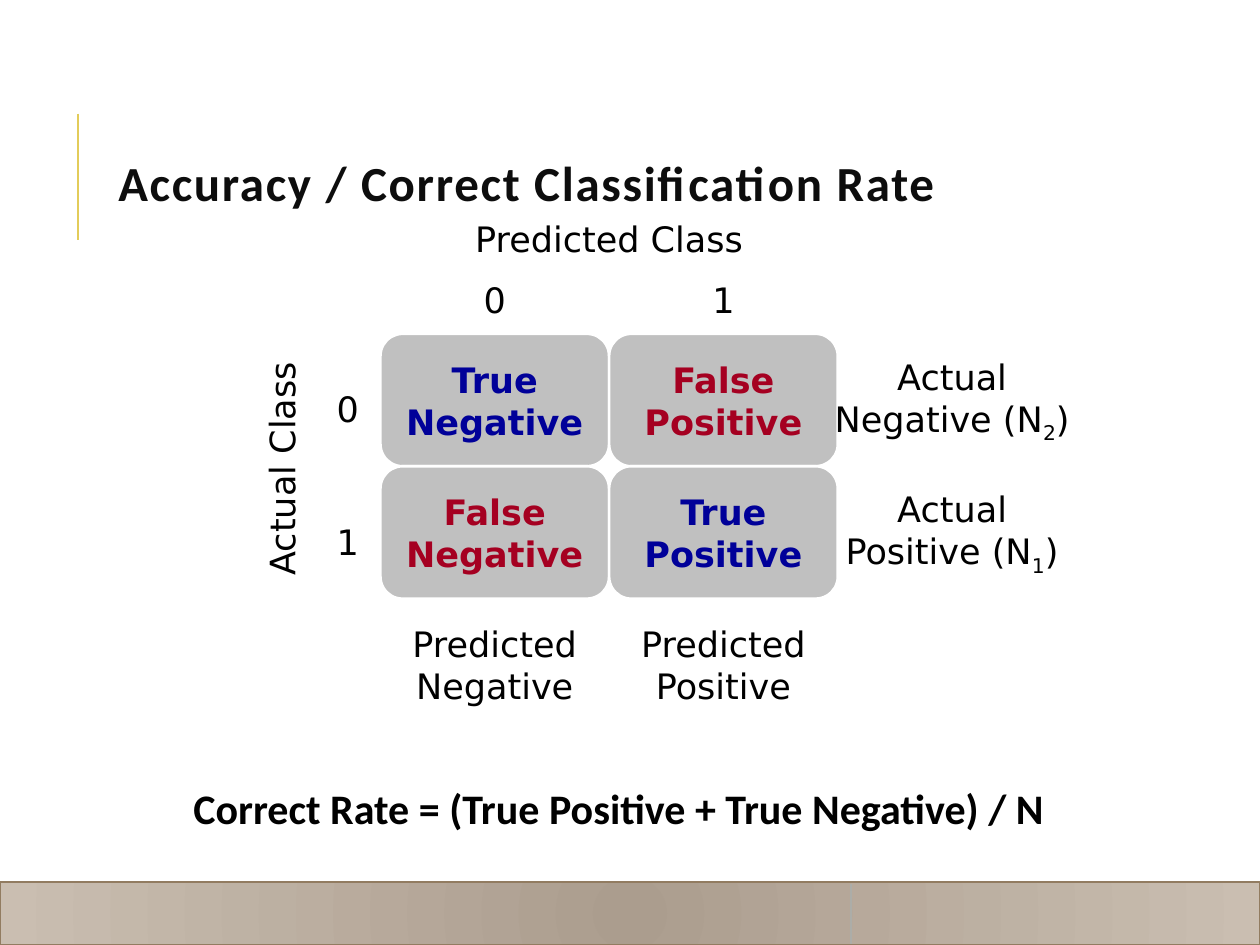
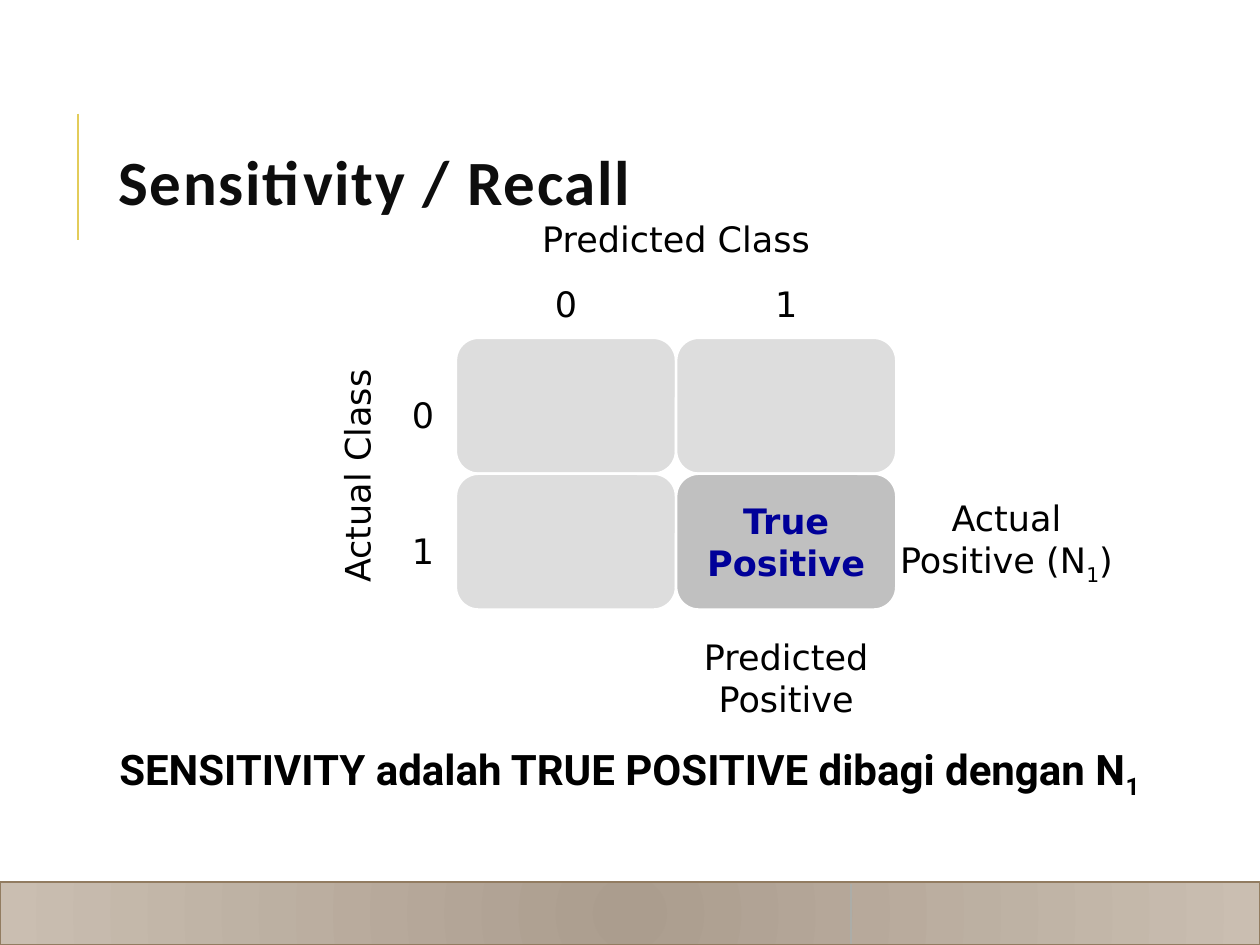
from lxml import etree
from pptx import Presentation
from pptx.dml.color import RGBColor
from pptx.enum.dml import MSO_FILL
from pptx.enum.shapes import MSO_CONNECTOR, MSO_SHAPE
from pptx.enum.text import MSO_ANCHOR, MSO_AUTO_SIZE, PP_ALIGN
from pptx.oxml import parse_xml
from pptx.oxml.ns import nsdecls, qn
from pptx.util import Cm, Pt

BLACK = RGBColor(0x00, 0x00, 0x00)
WHITE = RGBColor(0xFF, 0xFF, 0xFF)
TITLE_INK = RGBColor(0x0D, 0x0D, 0x0D)
GOLD = RGBColor(0xE3, 0xCC, 0x5A)
BAND_CENTRE = RGBColor(0xAB, 0x9D, 0x8E)
BAND_EDGE = RGBColor(0xCA, 0xBE, 0xB1)
BAND_LINE = RGBColor(0x92, 0x7C, 0x61)
BAND_TICK = RGBColor(0xAC, 0xAD, 0xA8)
CELL_GREY = RGBColor(0xC0, 0xC0, 0xC0)
CELL_PALE = RGBColor(0xDD, 0xDD, 0xDD)
CORRECT_BLUE = RGBColor(0x00, 0x00, 0x99)
ERROR_RED = RGBColor(0xA5, 0x00, 0x21)

TITLE_FONT = "Calibri"
LABEL_FONT = "DejaVu Sans"
SLIDE_WIDTH, SLIDE_HEIGHT = 25.4, 19.05
BAND_HEIGHT = 1.27
LABEL_HEIGHT = 1.12


def write_text(shape, text, font=LABEL_FONT, size=20, color=BLACK, bold=False,
               align=PP_ALIGN.CENTER, anchor=MSO_ANCHOR.MIDDLE, wrap=False,
               line_spacing=None, tracking=None):
    """Fill a shape with text; newlines split paragraphs, ~x~ is a subscript."""
    frame = shape.text_frame
    frame.auto_size = MSO_AUTO_SIZE.NONE
    frame.word_wrap = wrap
    frame.vertical_anchor = anchor
    for number, line in enumerate(text.split("\n")):
        para = frame.add_paragraph() if number else frame.paragraphs[0]
        para.alignment = align
        if line_spacing:
            para.line_spacing = line_spacing
        for index, part in enumerate(line.split("~")):
            if not part:
                continue
            span = para.add_run()
            span.text = part
            span.font.name = font
            span.font.size = Pt(size)
            span.font.bold = bold
            span.font.color.rgb = color
            properties = span.font._element
            if index % 2:
                properties.set("baseline", "-25000")
            if tracking:
                properties.set("spc", str(tracking * 100))


def add_text(page, text, left, top, width, height, **text_format):
    box = page.shapes.add_textbox(Cm(left), Cm(top), Cm(width), Cm(height))
    write_text(box, text, **text_format)
    return box


def add_label(page, text, centre_x, centre_y, width=1):
    """Add a one-line label centred on a point."""
    return add_text(page, text, centre_x - width / 2, centre_y - LABEL_HEIGHT / 2,
                    width, LABEL_HEIGHT)


def add_vertical_line(page, x, top, bottom, color, weight):
    line = page.shapes.add_connector(MSO_CONNECTOR.STRAIGHT,
                                     Cm(x), Cm(top), Cm(x), Cm(bottom))
    line.line.color.rgb = color
    line.line.width = Pt(weight)
    etree.SubElement(line._element.spPr, qn("a:effectLst"))


def add_box(page, kind, left, top, width, height, line_color, line_weight):
    box = page.shapes.add_shape(kind, Cm(left), Cm(top), Cm(width), Cm(height))
    box.shadow.inherit = False
    box.line.color.rgb = line_color
    box.line.width = Pt(line_weight)
    return box


def add_footer_band(page):
    top = SLIDE_HEIGHT - BAND_HEIGHT
    band = add_box(page, MSO_SHAPE.RECTANGLE, 0, top, SLIDE_WIDTH, BAND_HEIGHT,
                   BAND_LINE, 0.75)
    gradient = parse_xml(
        f'<a:gradFill {nsdecls("a")} rotWithShape="1"><a:gsLst>'
        f'<a:gs pos="0"><a:srgbClr val="{BAND_CENTRE}"/></a:gs>'
        f'<a:gs pos="100000"><a:srgbClr val="{BAND_EDGE}"/></a:gs></a:gsLst>'
        '<a:path path="circle">'
        '<a:fillToRect l="50000" t="50000" r="50000" b="50000"/>'
        '</a:path></a:gradFill>')
    band._element.spPr.find(qn("a:prstGeom")).addnext(gradient)
    add_vertical_line(page, 17.15, top + 0.05, SLIDE_HEIGHT - 0.03, BAND_TICK, 1.25)


def add_page(deck, title, title_size):
    """Add a slide with the shared title, accent line and footer band."""
    page = deck.slides.add_slide(deck.slide_layouts[5])
    heading = page.shapes.title
    heading.left, heading.top = Cm(2.13), Cm(1.7)
    heading.width, heading.height = Cm(20.24), Cm(4.17)
    write_text(heading, title, font=TITLE_FONT, size=title_size, color=TITLE_INK,
               bold=True, align=PP_ALIGN.LEFT, wrap=True, line_spacing=0.8, tracking=1)
    add_vertical_line(page, 1.57, 2.29, 4.83, GOLD, 1.5)
    add_footer_band(page)
    return page


def add_confusion_matrix(page, left, top, width, height, cells, row_notes, column_notes):
    """Draw the 2 x 2 matrix; a cell or note that is None carries no text."""
    for row, col in ((0, 0), (0, 1), (1, 0), (1, 1)):
        cell = add_box(page, MSO_SHAPE.ROUNDED_RECTANGLE, left + col * width,
                       top + row * height, width, height, WHITE, 1.5)
        text = cells[row][col]
        cell.fill.solid()
        cell.fill.fore_color.rgb = CELL_GREY if text else CELL_PALE
        if text:
            write_text(cell, text, bold=True,
                       color=CORRECT_BLUE if row == col else ERROR_RED)

    for index in range(2):
        row_top, col_left = top + index * height, left + index * width
        add_label(page, str(index), col_left + width / 2, top - 0.7)
        add_label(page, str(index), left - 0.66, row_top + height / 2 + 0.18)
        if row_notes[index]:
            add_text(page, row_notes[index], left + 2 * width, row_top, width, height)
        if column_notes[index]:
            add_text(page, column_notes[index], col_left, top + 2 * height, width, height)

    add_label(page, "Predicted Class", left + width, 4.8, width=5.94)
    actual = add_label(page, "Actual Class", left - 2, top + height + 0.05, width=4.83)
    actual.rotation = 270


def add_conclusion(page, text, left, top, width, font):
    add_text(page, text, left, top, width, 1.27, font=font, size=24, bold=True,
             anchor=MSO_ANCHOR.TOP, wrap=True)


def main():
    deck = Presentation()
    deck.slide_width, deck.slide_height = Cm(SLIDE_WIDTH), Cm(SLIDE_HEIGHT)

    accuracy = add_page(deck, "Accuracy / Correct Classification Rate", 28)
    add_confusion_matrix(
        accuracy, 7.67, 6.73, 4.61, 2.67,
        cells=(("True\nNegative", "False\nPositive"),
               ("False\nNegative", "True\nPositive")),
        row_notes=("Actual\nNegative (N~2~)", "Actual\nPositive (N~1~)"),
        column_notes=("Predicted\nNegative", "Predicted\nPositive"))
    add_conclusion(accuracy, "Correct Rate = (True Positive + True Negative) / N",
                   3.07, 15.65, 18.8, TITLE_FONT)

    recall = add_page(deck, "Sensitivity / Recall", 36)
    add_confusion_matrix(
        recall, 9.19, 6.81, 4.44, 2.74,
        cells=((None, None), (None, "True\nPositive")),
        row_notes=(None, "Actual\nPositive (N~1~)"),
        column_notes=(None, "Predicted\nPositive"))
    add_conclusion(recall, "SENSITIVITY adalah TRUE POSITIVE dibagi dengan N~1~",
                   0.89, 14.86, 23.6, "Roboto")

    deck.save("out.pptx")


if __name__ == "__main__":
    main()
